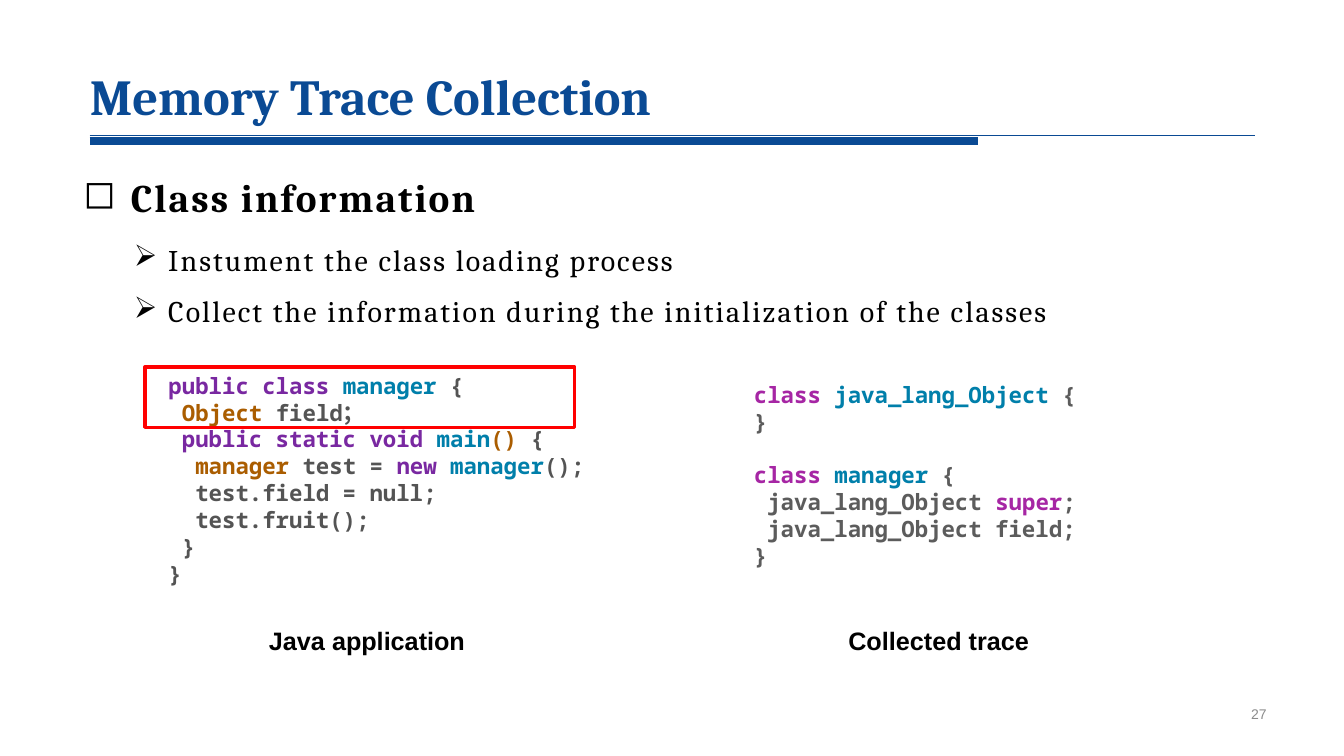
from lxml import etree
from pptx import Presentation
from pptx.dml.color import RGBColor
from pptx.enum.shapes import MSO_CONNECTOR, MSO_SHAPE
from pptx.enum.text import MSO_ANCHOR, PP_ALIGN
from pptx.oxml.ns import qn
from pptx.util import Inches, Pt

COLORS = {
    "navy": "0A4A94", "black": "000000", "grey": "8C8C8C", "red": "FF0000",
    "purple": "7928A1", "pink": "A626A4", "teal": "007FAA", "amber": "AA5D00",
    "dark": "545454", "slate": "5C5C5C",
}

# Text formats
TITLE = {"name": "Cambria", "size": Pt(36), "bold": True}
HEAD = {"name": "Cambria", "size": Pt(28), "bold": True}
ITEM = {"name": "Cambria", "size": Pt(21.4), "bold": False}
CODE = {"name": "Noto Sans Mono", "size": Pt(16), "bold": True}
LABEL = {"name": "Arial", "size": Pt(18), "bold": True}
PAGE = {"name": "Arial", "size": Pt(10), "bold": False}

# Code lines as (color, text) pieces
JAVA = [
    [("purple", " public class "), ("teal", "manager"), ("dark", " {")],
    [("amber", "  Object"), ("dark", " field；")],
    [("purple", "  public static void "), ("teal", "main"), ("amber", "()"), ("dark", " {")],
    [("amber", "   manager"), ("dark", " test = "), ("purple", "new "),
     ("teal", "manager"), ("dark", "();")],
    [("dark", "   test.field = null;")],
    [("dark", "   test.fruit();")],
    [("dark", "  }")],
    [("dark", " }")],
]
OBJECT = [
    [("pink", "class "), ("teal", "java_lang_Object "), ("slate", "{")],
    [("slate", "}")],
]
MANAGER = [
    [("pink", "class "), ("teal", "manager "), ("slate", "{")],
    [("slate", " java_lang_Object "), ("pink", "super"), ("slate", ";")],
    [("slate", " java_lang_Object field;")],
    [("slate", "}")],
]


def color(key):
    return RGBColor.from_string(COLORS[key])


def apply(target, values):
    for key, value in values.items():
        setattr(target, key, value)


def add_run(para, text, font, key):
    run = para.add_run()
    run.text = text
    apply(run.font, font)
    run.font.color.rgb = color(key)
    return run


def add_box(slide, left, top, width, height, **frame):
    box = slide.shapes.add_textbox(
        Inches(left), Inches(top), Inches(width), Inches(height))
    apply(box.text_frame, {"word_wrap": True, **frame})
    return box.text_frame


def add_para(frame):
    first = frame.paragraphs[0]
    return frame.add_paragraph() if first.runs else first


def add_text(slide, place, text, font, key, align=PP_ALIGN.LEFT, **frame):
    para = add_box(slide, *place, **frame).paragraphs[0]
    para.alignment = align
    add_run(para, text, font, key)


def add_item(frame, mark, text, font, left, hang, **space):
    para = add_para(frame)
    apply(para, space)
    props = para._p.get_or_add_pPr()
    props.set("marL", str(Inches(left)))
    props.set("indent", str(-Inches(hang)))
    etree.SubElement(props, qn("a:buChar")).set("char", mark)
    run = add_run(para, text, font, "black")
    run._r.get_or_add_rPr().set("spc", "150")


def add_code(frame, lines, gap=0):
    for index, line in enumerate(lines):
        para = add_para(frame)
        if gap and index == 0:
            para.space_before = Pt(gap)
        for key, text in line:
            add_run(para, text, CODE, key)


def add_rule(slide, left, right, top, width):
    rule = slide.shapes.add_connector(
        MSO_CONNECTOR.STRAIGHT, Inches(left), Inches(top), Inches(right), Inches(top))
    rule.line.color.rgb = color("navy")
    rule.line.width = Pt(width)
    etree.SubElement(rule._element.spPr, qn("a:effectLst"))


def add_frame(slide, left, top, width, height):
    rect = slide.shapes.add_shape(
        MSO_SHAPE.RECTANGLE, Inches(left), Inches(top), Inches(width), Inches(height))
    rect.shadow.inherit = False
    rect.fill.background()
    rect.line.color.rgb = color("red")
    rect.line.width = Pt(2.5)


def main():
    deck = Presentation()
    apply(deck, {"slide_width": Inches(13.33), "slide_height": Inches(7.5)})
    slide = deck.slides.add_slide(deck.slide_layouts[6])

    # Title and rules
    add_text(slide, (0.89, 0.64, 11.71, 0.61), "Memory Trace Collection", TITLE, "navy",
             vertical_anchor=MSO_ANCHOR.MIDDLE, margin_left=0, margin_right=0,
             margin_top=0, margin_bottom=0)
    add_rule(slide, 0.89, 12.45, 1.34, 0.5)
    add_rule(slide, 0.89, 9.7, 1.4, 6)

    # Bullets
    body = add_box(slide, 0.73, 1.53, 11.87, 1.9)
    add_item(body, "◻", "Class information", HEAD, 0.47, 0.47,
             line_spacing=1.3, space_after=Pt(10))
    for text in ("Instument the class loading process",
                 "Collect the information during the initialization of the classes"):
        add_item(body, "➢", text, ITEM, 0.84, 0.34,
                 line_spacing=1.2, space_after=Pt(6))

    # Code listings
    trace = add_box(slide, 7.38, 3.73, 4, 1.98)
    add_code(trace, OBJECT)
    add_code(trace, MANAGER, gap=19)
    add_code(add_box(slide, 1.44, 3.64, 5.11, 1.84), JAVA)
    add_frame(slide, 1.44, 3.64, 4.26, 0.6)

    # Captions and page number
    for left, text in ((1.58, "Java application"), (7.25, "Collected trace")):
        add_text(slide, (left, 6.15, 4.12, 0.4), text, LABEL, "black", PP_ALIGN.CENTER)
    add_text(slide, (9.71, 6.91, 2.95, 0.35), "27", PAGE, "grey", PP_ALIGN.RIGHT,
             vertical_anchor=MSO_ANCHOR.MIDDLE)

    deck.save("out.pptx")


if __name__ == "__main__":
    main()
